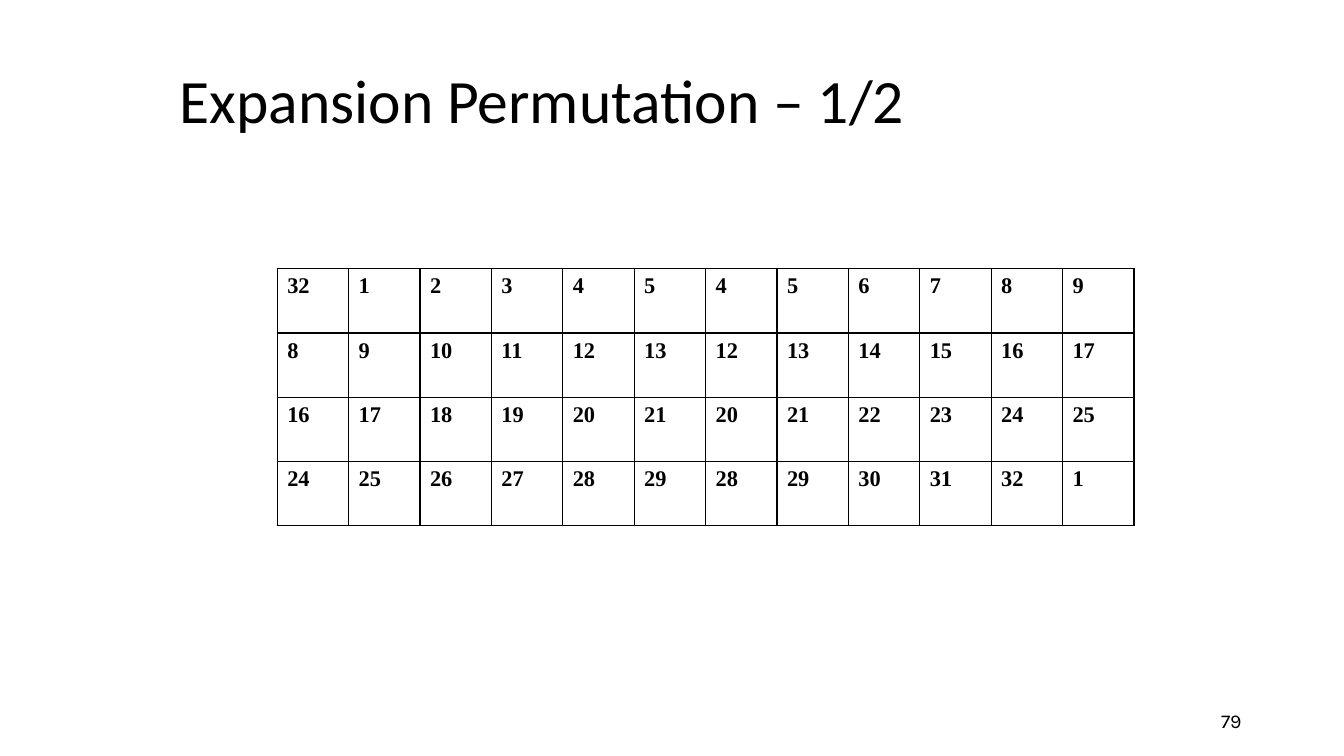
"""Build the slide showing the expansion permutation table."""
from lxml.etree import SubElement
from pptx import Presentation
from pptx.dml.color import RGBColor
from pptx.enum.text import MSO_ANCHOR, PP_ALIGN
from pptx.oxml.ns import qn
from pptx.util import Pt

TITLE = "Expansion Permutation – 1/2"
PAGE_NUMBER = "79"
PERMUTATION = [
    [32, 1, 2, 3, 4, 5, 4, 5, 6, 7, 8, 9],
    [8, 9, 10, 11, 12, 13, 12, 13, 14, 15, 16, 17],
    [16, 17, 18, 19, 20, 21, 20, 21, 22, 23, 24, 25],
    [24, 25, 26, 27, 28, 29, 28, 29, 30, 31, 32, 1],
]
COLORS = {"text": "000000", "border": "000000"}
TITLE_BOX = (121, 16.5, 818, 115)
NUMBER_BOX = (678, 500.5, 216, 28.8)
TABLE_LEFT, TABLE_TOP = 198, 192
COLUMN_WIDTH, ROW_HEIGHT = 51, 45.9
HANGING_INDENT = 27


def write_text(frame, text, *, size, font, bold=False, align=PP_ALIGN.LEFT,
               anchor=MSO_ANCHOR.MIDDLE, line_spacing=1.0, hanging=0):
    frame.word_wrap = True
    frame.vertical_anchor = anchor
    paragraph = frame.paragraphs[0]
    paragraph.alignment = align
    paragraph.line_spacing = line_spacing
    if hanging:
        properties = paragraph._p.get_or_add_pPr()
        properties.set("marL", str(Pt(hanging)))
        properties.set("indent", str(-Pt(hanging)))
    run = paragraph.add_run()
    run.text = text
    run.font.size = Pt(size)
    run.font.name = font
    run.font.bold = bold
    run.font.color.rgb = RGBColor.from_string(COLORS["text"])


def add_borders(cell):
    properties = cell._tc.get_or_add_tcPr()
    for side in ("a:lnL", "a:lnR", "a:lnT", "a:lnB"):
        line = SubElement(properties, qn(side), w=str(Pt(1)))
        fill = SubElement(line, qn("a:solidFill"))
        SubElement(fill, qn("a:srgbClr"), val=COLORS["border"])


def add_permutation_table(slide):
    row_count, column_count = len(PERMUTATION), len(PERMUTATION[0])
    table = slide.shapes.add_table(
        row_count, column_count, Pt(TABLE_LEFT), Pt(TABLE_TOP),
        Pt(COLUMN_WIDTH * column_count), Pt(ROW_HEIGHT * row_count)).table
    table.first_row = table.horz_banding = False
    for column in table.columns:
        column.width = Pt(COLUMN_WIDTH)
    for row, values in zip(table.rows, PERMUTATION):
        row.height = Pt(ROW_HEIGHT)
        for cell, value in zip(row.cells, values):
            write_text(cell.text_frame, str(value), size=16, font="Times New Roman",
                       bold=True, align=PP_ALIGN.JUSTIFY, anchor=MSO_ANCHOR.TOP,
                       hanging=HANGING_INDENT)
            add_borders(cell)
            cell.fill.background()


def main():
    presentation = Presentation()
    presentation.slide_width, presentation.slide_height = Pt(960), Pt(540)
    slide = presentation.slides.add_slide(presentation.slide_layouts[5])

    title = slide.shapes.title
    title.left, title.top, title.width, title.height = map(Pt, TITLE_BOX)
    write_text(title.text_frame, TITLE, size=44, font="Calibri", line_spacing=0.9)

    add_permutation_table(slide)

    number = slide.shapes.add_textbox(*map(Pt, NUMBER_BOX))
    write_text(number.text_frame, PAGE_NUMBER, size=14, font="Karla",
               align=PP_ALIGN.RIGHT)

    presentation.save("out.pptx")


if __name__ == "__main__":
    main()
